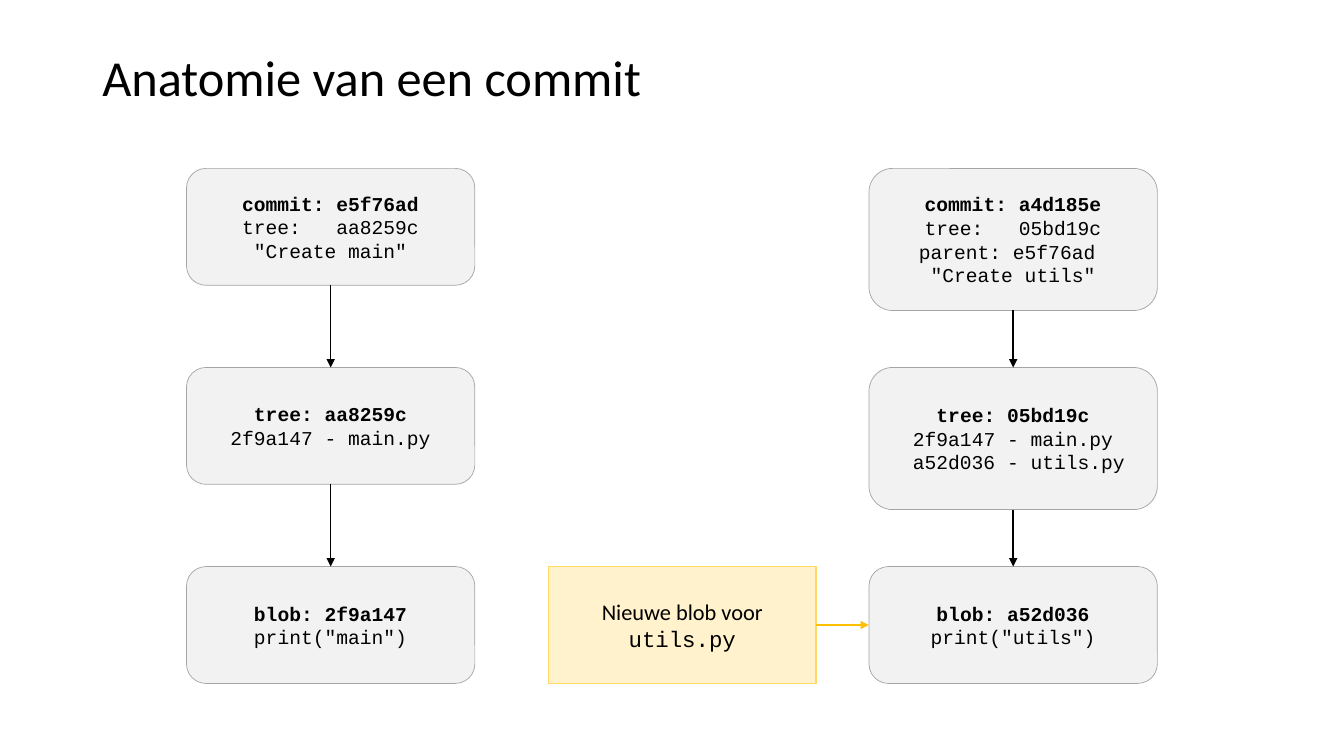
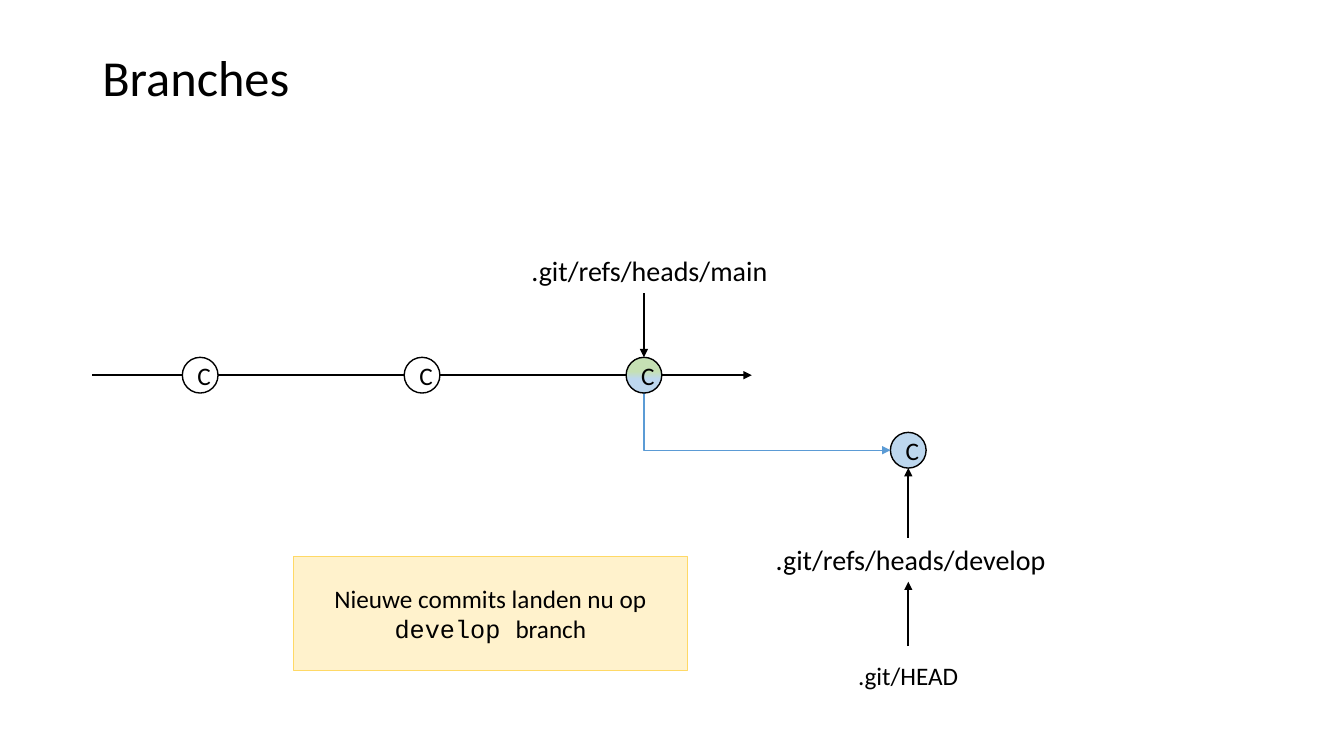
from lxml.etree import SubElement
from pptx import Presentation
from pptx.dml.color import RGBColor
from pptx.enum.shapes import MSO_CONNECTOR as LINK, MSO_SHAPE as SHAPE
from pptx.enum.text import MSO_ANCHOR as ANCHOR, PP_ALIGN as ALIGN
from pptx.oxml.ns import qn
from pptx.util import Pt

BLACK = RGBColor(0x00, 0x00, 0x00)
WHITE = RGBColor(0xFF, 0xFF, 0xFF)
PALE_GREY = RGBColor(0xF2, 0xF2, 0xF2)
GREY = RGBColor(0xA5, 0xA5, 0xA5)
CREAM = RGBColor(0xFF, 0xF2, 0xCC)
YELLOW = RGBColor(0xFF, 0xD9, 0x66)
AMBER = RGBColor(0xFF, 0xC0, 0x00)
PALE_GREEN = RGBColor(0xC5, 0xE0, 0xB4)
PALE_BLUE = RGBColor(0xBD, 0xD7, 0xEE)
BLUE = RGBColor(0x5B, 0x9B, 0xD5)

BODY = "Calibri"
CODE = "Courier New"
TOP, LEFT, BOTTOM, RIGHT = range(4)
DOT = 25.5


class Deck:
    def __init__(self):
        self.prs = Presentation()
        self.prs.slide_width, self.prs.slide_height = Pt(960), Pt(540)
        self.shapes = None

    def slide(self, title):
        self.shapes = self.prs.slides.add_slide(self.prs.slide_layouts[6]).shapes
        heading = self.label(title, 66, 29, 828, 57, 36, ALIGN.LEFT, ANCHOR.MIDDLE)
        heading.text_frame.paragraphs[0].line_spacing = 0.9

    def style(self, paragraph, size, face=BODY, align=ALIGN.CENTER, bold=False):
        paragraph.alignment = align
        font = paragraph.font
        font.size, font.name, font.bold = Pt(size), face, bold
        font.color.rgb = BLACK

    def label(self, text, x, y, w, h, size=20, align=ALIGN.RIGHT, anchor=ANCHOR.TOP):
        label = self.shapes.add_textbox(Pt(x), Pt(y), Pt(w), Pt(h))
        frame = label.text_frame
        frame.word_wrap = True
        frame.vertical_anchor = anchor
        frame.text = text
        self.style(frame.paragraphs[0], size, align=align)
        return label

    def box(self, kind, x, y, w, h, fill, border, width=1):
        box = self.shapes.add_shape(kind, Pt(x), Pt(y), Pt(w), Pt(h))
        box.shadow.inherit = False
        box.fill.solid()
        box.fill.fore_color.rgb = fill
        box.line.color.rgb = border
        box.line.width = Pt(width)
        box.text_frame.vertical_anchor = ANCHOR.MIDDLE
        return box

    def git_object(self, lines, x, y, h):
        node = self.box(SHAPE.ROUNDED_RECTANGLE, x, y, 206, h, PALE_GREY, GREY, 0.5)
        node.text_frame.text = "\n".join(lines)
        for i, paragraph in enumerate(node.text_frame.paragraphs):
            self.style(paragraph, 14, CODE, bold=i == 0)
        return node

    def note(self, parts, x, y, w, h, size):
        note = self.box(SHAPE.RECTANGLE, x, y, w, h, CREAM, YELLOW)
        paragraph = note.text_frame.paragraphs[0]
        self.style(paragraph, size)
        for text, face in parts:
            run = paragraph.add_run()
            run.text = text
            run.font.name = face
        return note

    def commit(self, x, y, fill=WHITE):
        dot = self.box(SHAPE.OVAL, x - DOT / 2, y - DOT / 2, DOT, DOT, fill, BLACK)
        dot.text_frame.text = "C"
        self.style(dot.text_frame.paragraphs[0], 18)
        return dot

    def arrow(self, x1, y1, x2, y2, color=BLACK, width=1, kind=LINK.STRAIGHT):
        arrow = self.shapes.add_connector(kind, Pt(x1), Pt(y1), Pt(x2), Pt(y2))
        arrow.line.color.rgb = color
        arrow.line.width = Pt(width)
        properties = arrow._element.spPr
        SubElement(properties.get_or_add_ln(), qn("a:tailEnd"), type="triangle")
        SubElement(properties, qn("a:effectLst"))
        return arrow

    def link(self, start, start_side, end, end_side, color=BLACK):
        arrow = self.arrow(0, 0, 0, 0, color)
        arrow.begin_connect(start, start_side)
        arrow.end_connect(end, end_side)

    def down_then_right(self, x1, y1, x2, y2, color):
        mid_x, mid_y = (x1 + x2) / 2, (y1 + y2) / 2
        half_w, half_h = (y2 - y1) / 2, (x2 - x1) / 2
        bend = self.arrow(mid_x - half_w, mid_y - half_h, mid_x + half_w,
                          mid_y + half_h, color, kind=LINK.ELBOW)
        properties = bend._element.spPr
        properties.find(qn("a:prstGeom")).set("prst", "bentConnector2")
        properties.xfrm.set("rot", str(270 * 60000))
        properties.xfrm.set("flipH", "1")


def commit_anatomy(deck):
    deck.slide("Anatomie van een commit")
    top, pitch, short, tall = 120.3, 142.2, 83.5, 101.5
    chains = [
        (133.2, [
            (short, ["commit: e5f76ad", "tree:   aa8259c", '"Create main"']),
            (short, ["tree: aa8259c", "2f9a147 - main.py"]),
            (short, ["blob: 2f9a147", 'print("main")']),
        ]),
        (620.7, [
            (tall, ["commit: a4d185e", "tree:   05bd19c", "parent: e5f76ad ",
                    '"Create utils"']),
            (tall, ["tree: 05bd19c", "2f9a147 - main.py", " a52d036 - utils.py"]),
            (short, ["blob: a52d036", 'print("utils")']),
        ]),
    ]
    for x, chain in chains:
        nodes = [deck.git_object(lines, x, top + i * pitch, h)
                 for i, (h, lines) in enumerate(chain)]
        for upper, lower in zip(nodes, nodes[1:]):
            deck.link(upper, BOTTOM, lower, TOP)
    new_blob = nodes[-1]
    note = deck.note([("Nieuwe blob voor ", BODY), ("utils.py", CODE)],
                     391.7, top + 2 * pitch, 191.3, short, 16)
    deck.link(note, RIGHT, new_blob, LEFT, AMBER)


def branches(deck):
    deck.slide("Branches")
    main_y, develop_x, develop_y = 268, 648.8, 321.6
    first_x, second_x, fork_x = [143 + 158.5 * i for i in range(3)]
    radius = DOT / 2

    deck.arrow(66, main_y, 537, main_y, width=1.5)
    for x in (first_x, second_x):
        deck.commit(x, main_y)

    deck.label(".git/refs/heads/main", 364.3, 177.8, 191, 31.5)
    deck.arrow(fork_x, 209.5, fork_x, main_y - radius)
    deck.label(".git/refs/heads/develop", 543, 384, 211, 31.5)
    deck.arrow(develop_x, 384, develop_x, develop_y + radius, width=1.5)
    deck.label(".git/HEAD", 578.2, 461.5, 141, 42.5, 18, ALIGN.CENTER, ANCHOR.MIDDLE)
    deck.arrow(develop_x, 461.5, develop_x, 415.5, width=1.5)

    deck.commit(develop_x, develop_y, PALE_BLUE)
    deck.down_then_right(fork_x, main_y + radius, develop_x - radius, develop_y, BLUE)
    deck.note([("Nieuwe commits landen nu op ", BODY), ("develop ", CODE),
               ("branch", BODY)], 209.5, 397.5, 281.5, 81.5, 18)

    fork = deck.commit(fork_x, main_y)
    fork.fill.gradient()
    fork.fill.gradient_angle = 270
    blend = [(0.4, PALE_GREEN), (0.6, PALE_BLUE)]
    for stop, (position, color) in zip(fork.fill.gradient_stops, blend):
        stop.position = position
        stop.color.rgb = color


def main():
    deck = Deck()
    commit_anatomy(deck)
    branches(deck)
    deck.prs.save("out.pptx")


if __name__ == "__main__":
    main()
